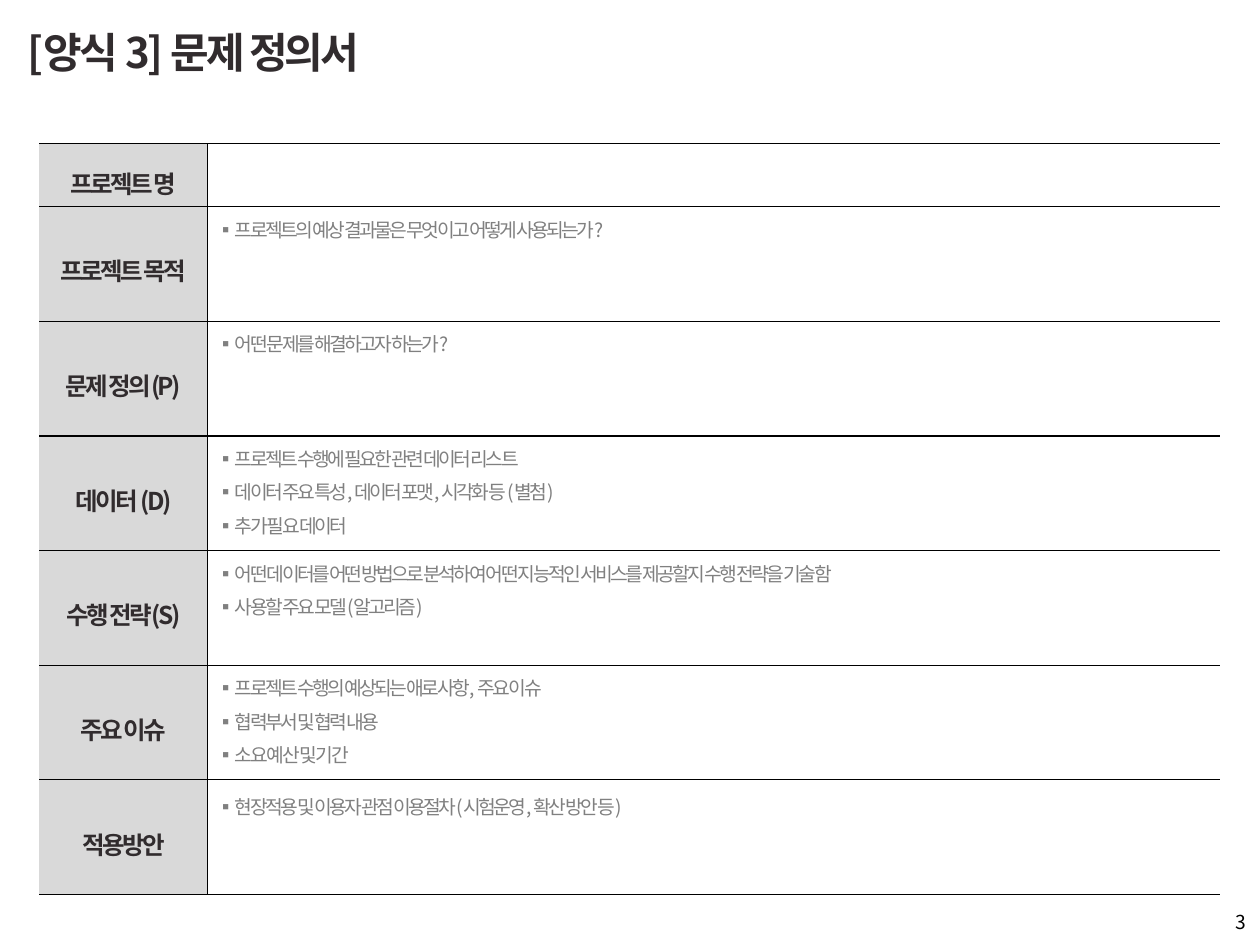
"""Build the problem definition form slide."""
import pptx
import pptx.util
import pptx.dml.color
import pptx.enum.text
import pptx.oxml
import pptx.oxml.ns
from lxml import etree

Inches = pptx.util.Inches
RGBColor = pptx.dml.color.RGBColor
ALIGN = pptx.enum.text.PP_ALIGN
ANCHOR = pptx.enum.text.MSO_ANCHOR
qn = pptx.oxml.ns.qn

DARK = RGBColor(0x31, 0x2C, 0x2E)
GRAY = RGBColor(0x80, 0x80, 0x80)
LIGHT = RGBColor(0xD9, 0xD9, 0xD9)
BLACK = RGBColor(0, 0, 0)

ROWS = [
    ("프로젝트 명", 1.4, [], 1.2),
    ("프로젝트 목적", 1.35, ["프로젝트의 예상 결과물은 무엇이고 어떻게 사용되는가?"], 1.2),
    ("문제 정의(P)", 1.35, ["어떤 문제를 해결하고자 하는가?"], 1.2),
    ("데이터 (D)", 1.35, ["프로젝트 수행에 필요한 관련 데이터 리스트",
                       "데이터 주요 특성, 데이터 포맷, 시각화 등 (별첨)",
                       "추가 필요 데이터"], 1.2),
    ("수행 전략(S)", 1.35, ["어떤 데이터를 어떤 방법으로 분석하여 어떤 지능적인 서비스를 제공할지 수행 전략을 기술함",
                        "사용할 주요 모델(알고리즘)"], 1.2),
    ("주요 이슈", 1.35, ["프로젝트 수행의 예상되는 애로사항, 주요 이슈",
                     "협력부서 및 협력 내용",
                     "소요 예산 및 기간"], 1.2),
    ("적용방안", 1.35, ["현장적용 및 이용자 관점 이용절차(시험운영, 확산 방안 등)"], 1.35),
]


class Form:
    font = "Noto Sans CJK KR"

    def __init__(self, prs):
        self.s = prs.slides.add_slide(prs.slide_layouts[5])

    def add_text(self, tf, lines, size, color, bold=False, align=ALIGN.LEFT,
                 spacing=None, tracking=-1.5):
        for i, line in enumerate(lines):
            p = tf.paragraphs[0] if i == 0 else tf.add_paragraph()
            p.alignment = align
            p.line_spacing = spacing
            r = p.add_run()
            r.text = line
            r.font.size = pptx.util.Pt(size)
            r.font.bold = bold
            r.font.color.rgb = color
            r.font.name = self.font
            rPr = r._r.get_or_add_rPr()
            rPr.set("spc", str(int(tracking * 100)))
            etree.SubElement(rPr, qn("a:ea")).set("typeface", self.font)

    def frame(self, sp):
        tf = sp.text_frame
        tf.word_wrap = True
        tf.auto_size = pptx.enum.text.MSO_AUTO_SIZE.NONE
        tf.vertical_anchor = ANCHOR.MIDDLE
        return tf

    def title(self, text, left, top, width, height):
        sp = self.s.shapes.title
        sp.left, sp.top = Inches(left), Inches(top)
        sp.width, sp.height = Inches(width), Inches(height)
        self.add_text(self.frame(sp), [text], 24, DARK, True)

    def page_number(self, text, left, top, width, height):
        sp = self.s.shapes.add_textbox(Inches(left), Inches(top), Inches(width), Inches(height))
        self.add_text(self.frame(sp), [text], 11, BLACK, align=ALIGN.RIGHT, tracking=0)

    def borders(self, cell, sides):
        tcPr = cell._tc.get_or_add_tcPr()
        for i, side in enumerate("LRTB"):
            ln = etree.Element(qn("a:ln" + side), w=str(int(pptx.util.Pt(0.75))))
            if side in sides:
                fill = etree.SubElement(ln, qn("a:solidFill"))
                etree.SubElement(fill, qn("a:srgbClr")).set("val", str(BLACK))
            else:
                etree.SubElement(ln, qn("a:noFill"))
            tcPr.insert(i, ln)

    def cell(self, cell, anchor, sides, fill=None):
        cell.margin_left = cell.margin_right = Inches(0.07)
        cell.margin_top = cell.margin_bottom = Inches(0.02)
        cell.vertical_anchor = anchor
        if fill is None:
            cell.fill.background()
        else:
            cell.fill.solid()
            cell.fill.fore_color.rgb = fill
        self.borders(cell, sides)
        return cell.text_frame

    def table(self, rows, left, top, widths, first_height, height):
        total = first_height + height * (len(rows) - 1)
        tbl = self.s.shapes.add_table(len(rows), 2, Inches(left), Inches(top),
                                      Inches(sum(widths)), Inches(total)).table
        tbl.first_row = tbl.horz_banding = False
        for col, width in zip(tbl.columns, widths):
            col.width = Inches(width)
        for i, (label, label_spacing, hints, spacing) in enumerate(rows):
            tbl.rows[i].height = Inches(height if i else first_height)
            tf = self.cell(tbl.cell(i, 0), ANCHOR.MIDDLE, "RTB", LIGHT)
            self.add_text(tf, [label], 14, DARK, True, ALIGN.CENTER, label_spacing)
            tf = self.cell(tbl.cell(i, 1), ANCHOR.TOP, "LTB")
            self.add_text(tf, ["▪ " + hint for hint in hints], 11, GRAY, spacing=spacing)


def main():
    prs = pptx.Presentation()
    prs.slide_width, prs.slide_height = Inches(10), Inches(7.5)
    form = Form(prs)
    form.title("[양식 3] 문제 정의서", 0.12, 0.13, 7.61, 0.56)
    form.table(ROWS, 0.31, 1.14, (1.34, 8.03), 0.5, 0.91)
    form.page_number("3", 9.49, 7.12, 0.5, 0.4)
    prs.save("out.pptx")


if __name__ == "__main__":
    main()
